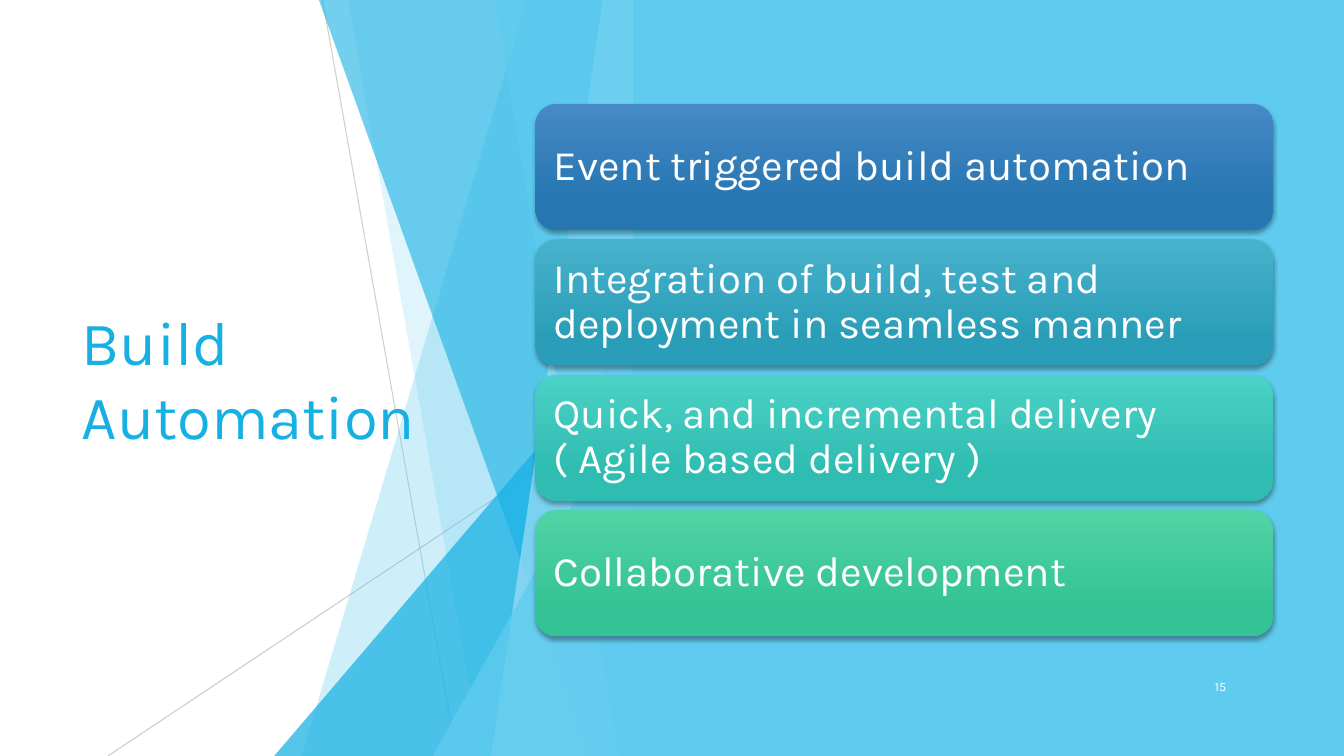
from lxml.etree import SubElement
from pptx import Presentation
from pptx.dml.color import RGBColor
from pptx.enum.shapes import MSO_CONNECTOR as Connector, MSO_SHAPE as Shape
from pptx.enum.text import MSO_ANCHOR as Anchor, PP_ALIGN as Align
from pptx.oxml.ns import qn
from pptx.util import Inches, Pt

COLORS = {
    "white": "FFFFFF",
    "grey": "BFBFBF",
    "sky": "5FCBEF",
    "pale": "9EDFF5",
    "blue": "16B0E3",
}
WIDTH, HEIGHT = 13.33, 7.5
PANEL_LEFT = 6.28
CARD_LEFT, CARD_TOP, CARD_WIDTH, CARD_HEIGHT = 5.31, 1.03, 7.32, 1.25
CARD_PITCH = (5.06 - CARD_TOP) / 3


def paint(shape, fill, color, opacity=100):
    fill.solid()
    fill.fore_color.rgb = RGBColor.from_string(COLORS[color])
    shade = shape._element.spPr.find(".//" + qn("a:srgbClr"))
    if opacity < 100:
        SubElement(shade, qn("a:alpha"), val=str(opacity * 1000))


def write(shape, text, size, color, align=Align.LEFT, inset=(0.1, 0.05)):
    frame = shape.text_frame
    frame.word_wrap = True
    frame.vertical_anchor = Anchor.MIDDLE
    frame.margin_left = frame.margin_right = Inches(inset[0])
    frame.margin_top = frame.margin_bottom = Inches(inset[1])
    para = frame.paragraphs[0]
    para.alignment = align
    span = para.add_run()
    span.text = text
    span.font.name = "Karla"
    span.font.size = Pt(size)
    span.font.color.rgb = RGBColor.from_string(COLORS[color])
    return para


deck = Presentation()
deck.slide_width, deck.slide_height = Inches(WIDTH), Inches(HEIGHT)
page = deck.slides.add_slide(deck.slide_layouts[5])
shapes = page.shapes
page.background.fill.solid()
page.background.fill.fore_color.rgb = RGBColor.from_string(COLORS["white"])

rays = [
    (3.2, 0, 4.53, HEIGHT, 75),
    (PANEL_LEFT, 4.03, 1.07, HEIGHT, 80),
]
for *ends, opacity in rays:
    ray = shapes.add_connector(Connector.STRAIGHT, *map(Inches, ends))
    ray.line.width = Pt(0.75)
    paint(ray, ray.line.fill, "grey", opacity)
    SubElement(ray._element.spPr, qn("a:effectLst"))

facets = [
    ("shard", 5.23, 2.99, "sky", 30),
    ("shard", 3.45, 4.78, "sky", 20),
    ("triangle", 3.33, 2.72, "blue", 72),
    ("shard", 3.16, 5.86, "blue", 60),
    ("shard", 5.98, 4.87, "pale", 70),
    ("shard", 4.91, 6.13, "sky", 65),
    ("triangle", 3.93, 4.29, "sky", 80),
]
for kind, start, foot, color, opacity in facets:
    if kind == "triangle":
        facet = shapes.add_shape(
            Shape.ISOSCELES_TRIANGLE, Inches(foot), Inches(start),
            Inches(PANEL_LEFT - foot), Inches(HEIGHT - start))
        facet.adjustments[0] = 1
    else:
        outline = shapes.build_freeform(Inches(start), Inches(-0.01))
        corners = [(PANEL_LEFT, -0.01), (PANEL_LEFT, HEIGHT), (foot, HEIGHT)]
        outline.add_line_segments([(Inches(x), Inches(y)) for x, y in corners])
        facet = outline.convert_to_shape()
    paint(facet, facet.fill, color, opacity)
    facet.line.fill.background()
    facet.shadow.inherit = False

title = shapes.title
title.left, title.top = Inches(0.71), Inches(1.51)
title.width, title.height = Inches(3.88), Inches(4.48)
write(title, "Build Automation", 44, "blue")
shapes._spTree.append(title._element)

panel = shapes.add_shape(Shape.RECTANGLE, Inches(PANEL_LEFT), 0,
                         Inches(WIDTH - PANEL_LEFT), Inches(HEIGHT))
paint(panel, panel.fill, "sky")
panel.line.fill.background()
panel.shadow.inherit = False

number = shapes.add_textbox(Inches(11.51), Inches(6.61), Inches(0.75), Inches(0.4))
write(number, "15", 9, "white", Align.RIGHT)

cards = [
    ("Event triggered build automation", "4689C6", "2676B1"),
    ("Integration of build, test and deployment in seamless manner", "48B2CC", "2A9EB8"),
    ("Quick, and incremental delivery ( Agile based delivery )", "4BD1C5", "2FBCB1"),
    ("Collaborative development", "51D3A5", "34C394"),
]
for row, (text, light, dark) in enumerate(cards):
    card = shapes.add_shape(
        Shape.ROUNDED_RECTANGLE, Inches(CARD_LEFT), Inches(CARD_TOP + row * CARD_PITCH),
        Inches(CARD_WIDTH), Inches(CARD_HEIGHT))
    card.fill.gradient()
    card.fill.gradient_angle = 270
    for stop, position, color in zip(card.fill.gradient_stops, (0, 0.78), (light, dark)):
        stop.position = position
        stop.color.rgb = RGBColor.from_string(color)
    card.line.fill.background()
    card.shadow.inherit = False
    effects = card._element.spPr.find(qn("a:effectLst"))
    shadow = SubElement(effects, qn("a:outerShdw"), blurRad=str(Pt(3)),
                        dist=str(Pt(2)), dir="5400000", rotWithShape="0")
    shade = SubElement(shadow, qn("a:srgbClr"), val="000000")
    SubElement(shade, qn("a:alpha"), val="35000")
    para = write(card, text, 30, "white", inset=(0.12, 0.12))
    para.line_spacing = 0.9

deck.save("out.pptx")
